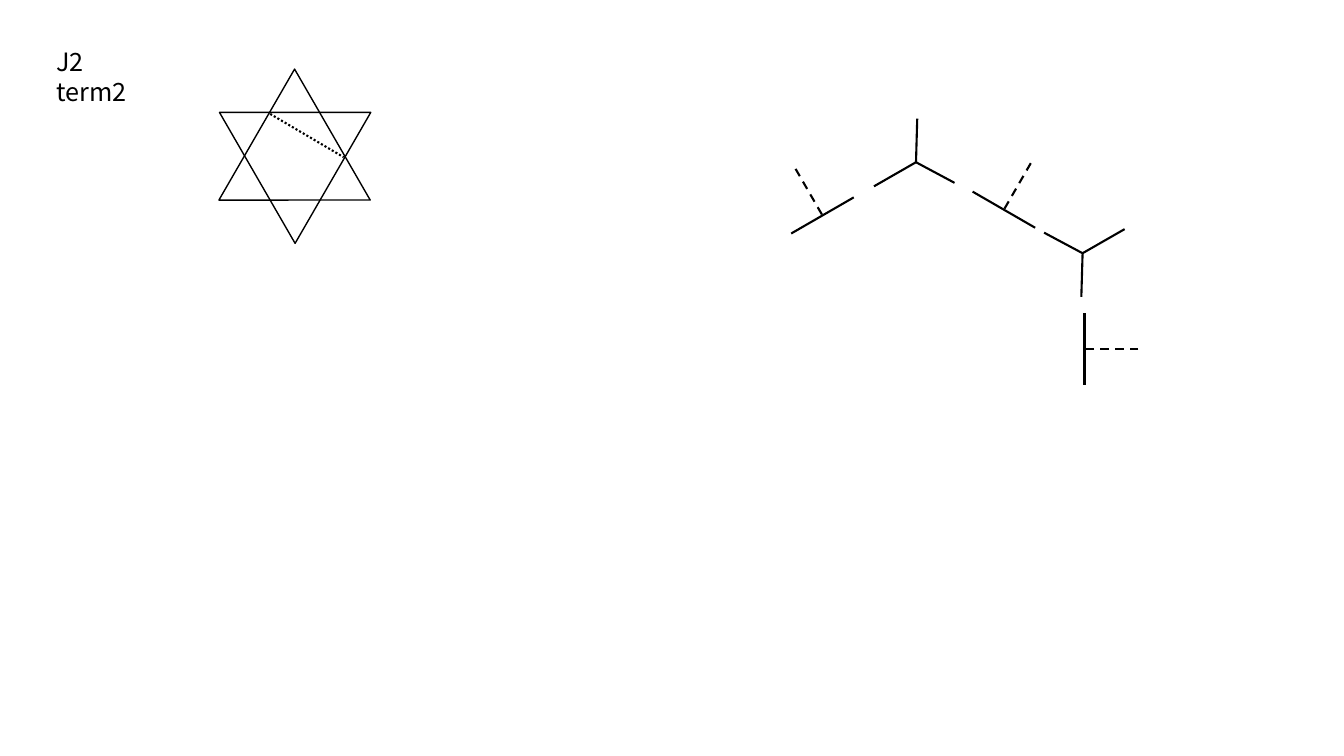
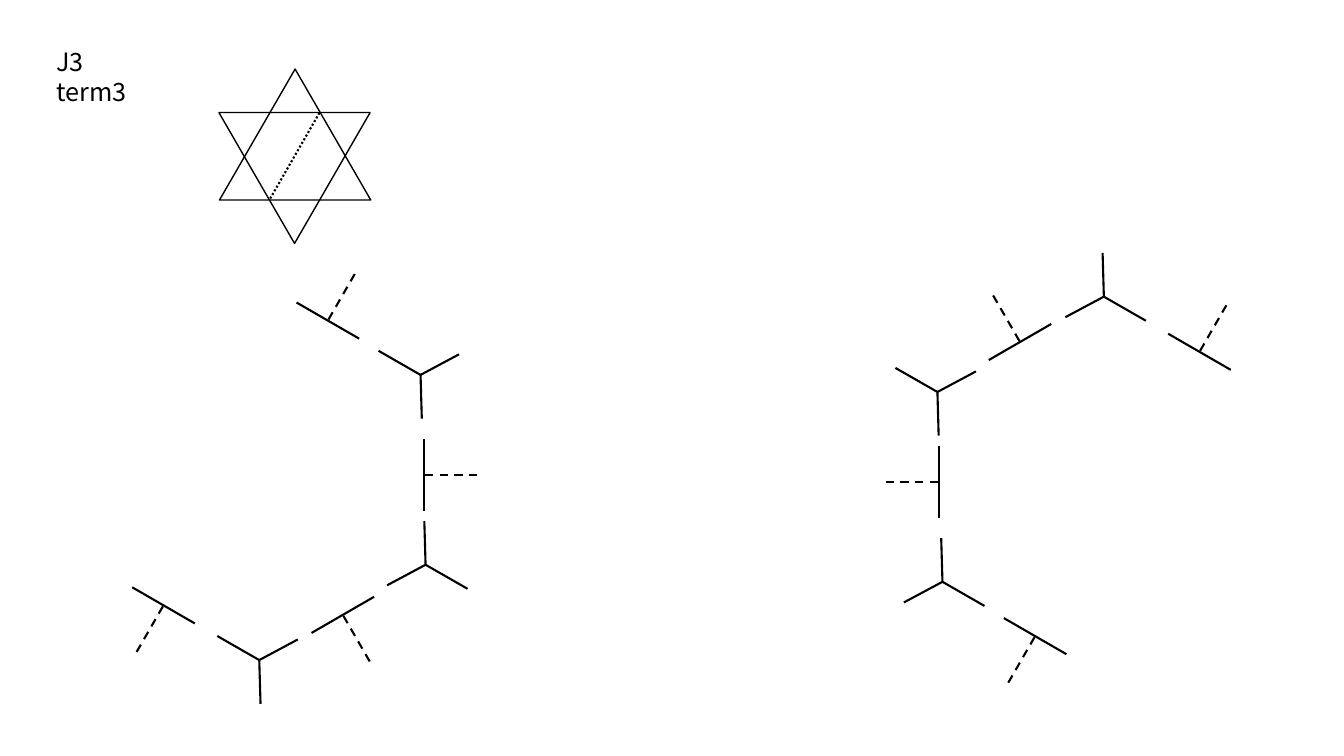
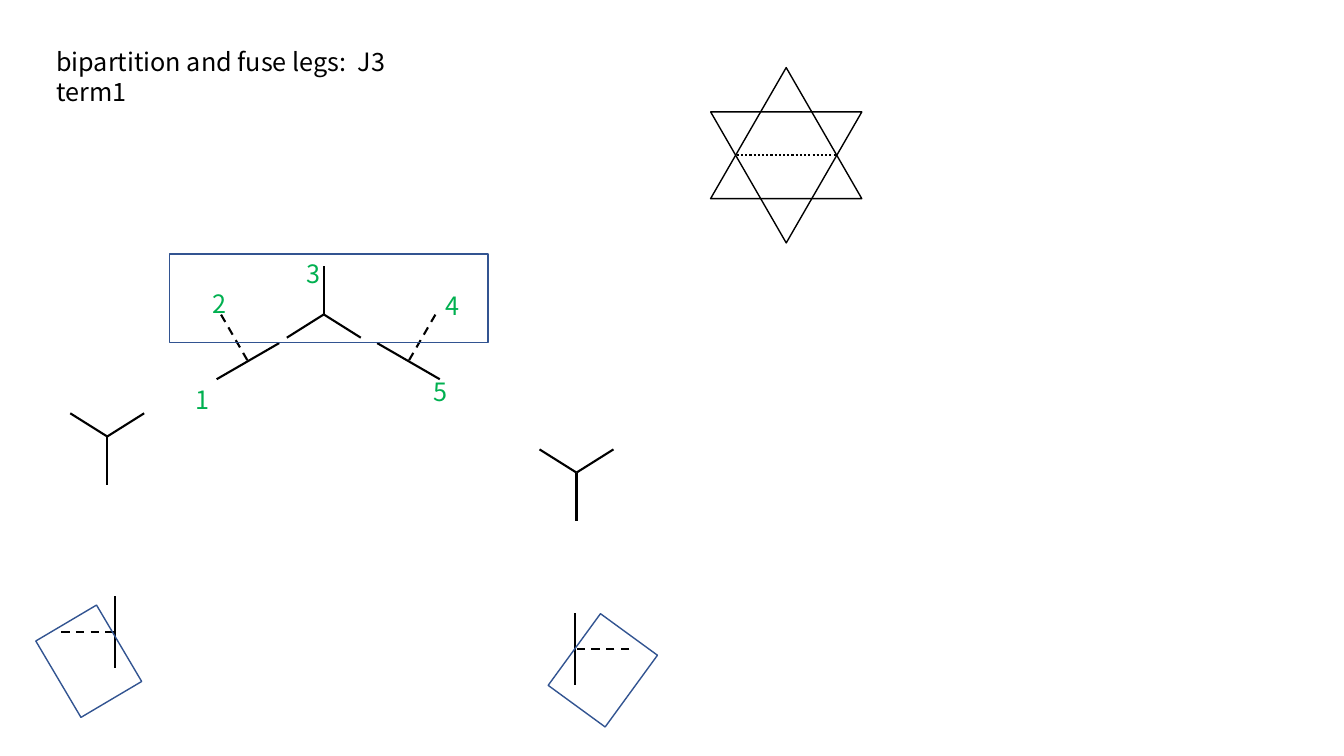
from dataclasses import dataclass
from math import cos, radians, sin

from lxml import etree
from pptx import Presentation
from pptx.dml.color import RGBColor
from pptx.enum.dml import MSO_LINE
from pptx.enum.shapes import MSO_CONNECTOR, MSO_SHAPE
from pptx.enum.text import MSO_ANCHOR
from pptx.oxml.ns import qn
from pptx.slide import Slide
from pptx.util import Pt

BLACK = RGBColor(0x00, 0x00, 0x00)
BLUE = RGBColor(0x32, 0x54, 0x91)
GREEN = RGBColor(0x00, 0xB0, 0x50)

STRAIGHT = MSO_CONNECTOR.STRAIGHT
TRIANGLE = MSO_SHAPE.ISOSCELES_TRIANGLE
RECTANGLE = MSO_SHAPE.RECTANGLE
SOLID = MSO_LINE.SOLID
DASHED = MSO_LINE.DASH
DOTTED = MSO_LINE.ROUND_DOT
TOP = MSO_ANCHOR.TOP

FONT = "Noto Sans CJK SC"
TEXT_SIZE = 18
LINE_PITCH = 21.6
TEXT_HEIGHT = 28.8

TRIANGLE_WIDTH = 108
TRIANGLE_HEIGHT = 93.6
TRIANGLE_SHIFT = 15.8
HALF_BAR = 25.8
LEG = 38.4

Point = tuple[float, float]
SKEWED: tuple[Point, ...] = ((-30, 17.2), (0.9, -31.2), (27.5, 14.7))
UPRIGHT: tuple[Point, ...] = ((-26.4, 16.6), (0, -34.6), (26.4, 16.6))


@dataclass(frozen=True)
class Star:
    center: Point
    turn: float
    chord: tuple[Point, Point]


@dataclass(frozen=True)
class Wye:
    hub: Point
    flip_x: bool = False
    flip_y: bool = False
    arms: tuple[Point, ...] = SKEWED


@dataclass(frozen=True)
class Tee:
    joint: Point
    leg_angle: float


@dataclass(frozen=True)
class Box:
    left: float
    top: float
    width: float
    height: float
    turn: float = 0


@dataclass(frozen=True)
class Label:
    text: str
    left: float
    top: float


@dataclass(frozen=True)
class Diagram:
    title: tuple[str, str]
    title_width: float
    star: Star
    wyes: tuple[Wye, ...]
    tees: tuple[Tee, ...]
    boxes: tuple[Box, ...] = ()
    labels: tuple[Label, ...] = ()


def draw_line(slide: Slide, start: Point, end: Point, dash: MSO_LINE = SOLID) -> None:
    stroke = slide.shapes.add_connector(STRAIGHT, *map(Pt, start + end))
    stroke.line.color.rgb = BLACK
    stroke.line.width = Pt(1.5)
    stroke.line.dash_style = dash
    etree.SubElement(stroke._element.spPr, qn("a:effectLst"))


def draw_outline(slide: Slide, kind: MSO_SHAPE, box: Box, color: RGBColor) -> None:
    outline = slide.shapes.add_shape(
        kind, Pt(box.left), Pt(box.top), Pt(box.width), Pt(box.height))
    outline.rotation = box.turn
    outline.shadow.inherit = False
    outline.fill.background()
    outline.line.color.rgb = color
    outline.line.width = Pt(1)


def draw_text(slide: Slide, lines: tuple[str, ...], left: float, top: float,
              width: float, color: RGBColor) -> None:
    frame = slide.shapes.add_textbox(
        Pt(left), Pt(top), Pt(width), Pt(TEXT_HEIGHT)).text_frame
    frame.word_wrap = True
    frame.vertical_anchor = TOP
    frame.margin_top = Pt(5.4)
    paragraph = frame.paragraphs[0]
    paragraph.line_spacing = Pt(LINE_PITCH)
    for index, line in enumerate(lines):
        if index:
            paragraph.add_line_break()
        run = paragraph.add_run()
        run.text = line
        run.font.name = FONT
        run.font.size = Pt(TEXT_SIZE)
        run.font.color.rgb = color


def draw_star(slide: Slide, star: Star) -> None:
    x, y = star.center
    for turn in (star.turn, star.turn + 180):
        left = x + TRIANGLE_SHIFT * sin(radians(turn)) - TRIANGLE_WIDTH / 2
        top = y - TRIANGLE_SHIFT * cos(radians(turn)) - TRIANGLE_HEIGHT / 2
        draw_outline(slide, TRIANGLE,
                     Box(left, top, TRIANGLE_WIDTH, TRIANGLE_HEIGHT, turn), BLACK)
    draw_line(slide, *star.chord, DOTTED)


def draw_wye(slide: Slide, wye: Wye) -> None:
    x, y = wye.hub
    x_sign = -1 if wye.flip_x else 1
    y_sign = -1 if wye.flip_y else 1
    for dx, dy in wye.arms:
        draw_line(slide, wye.hub, (x + x_sign * dx, y + y_sign * dy))


def draw_tee(slide: Slide, tee: Tee) -> None:
    x, y = tee.joint
    across, up = cos(radians(tee.leg_angle)), sin(radians(tee.leg_angle))
    draw_line(slide, (x - HALF_BAR * up, y - HALF_BAR * across),
              (x + HALF_BAR * up, y + HALF_BAR * across))
    draw_line(slide, (x + LEG * across, y - LEG * up), tee.joint, DASHED)


def draw_diagram(slide: Slide, diagram: Diagram) -> None:
    draw_star(slide, diagram.star)
    draw_text(slide, diagram.title, 33.1, 27.4, diagram.title_width, BLACK)
    for wye in diagram.wyes:
        draw_wye(slide, wye)
    for tee in diagram.tees:
        draw_tee(slide, tee)
    for box in diagram.boxes:
        draw_outline(slide, RECTANGLE, box, BLUE)
    for label in diagram.labels:
        draw_text(slide, (label.text,), label.left, label.top, 18.7, GREEN)


DIAGRAMS = (
    Diagram(
        title=("J2", "term2"),
        title_width=81.4,
        star=Star((210.6, 111.6), 60, ((193, 81.4), (245.5, 112.3))),
        wyes=(
            Wye((654.3, 115.9)),
            Wye((773.3, 180.9), flip_x=True, flip_y=True),
        ),
        tees=(
            Tee((717.1, 149.8), 60),
            Tee((587.5, 153.9), 120),
            Tee((774.7, 249.5), 0),
        ),
    ),
    Diagram(
        title=("J3", "term3"),
        title_width=81.4,
        star=Star((210.6, 111.6), 120, ((228.2, 80.6), (193, 141.8))),
        wyes=(
            Wye((300.4, 267.8), flip_y=True),
            Wye((304, 403.4), flip_x=True),
            Wye((185.2, 471.5), flip_y=True),
            Wye((673.2, 415.6), flip_x=True),
            Wye((669.6, 280), flip_y=True),
            Wye((788.5, 211.9), flip_x=True),
        ),
        tees=(
            Tee((302.6, 339.5), 0),
            Tee((234.2, 229), 60),
            Tee((244.9, 439.2), 300),
            Tee((116.8, 432.4), 240),
            Tee((671, 344.2), 180),
            Tee((739.4, 454.4), 240),
            Tee((728.6, 244.3), 120),
            Tee((856.8, 251.3), 60),
        ),
    ),
    Diagram(
        title=("bipartition and fuse legs:  J3", "term1"),
        title_width=283.7,
        star=Star((561.6, 110.9), 0, ((526.3, 110.9), (596.9, 110.9))),
        wyes=(
            Wye((76.6, 311.8), flip_y=True, arms=UPRIGHT),
            Wye((231.3, 224.6), arms=UPRIGHT),
            Wye((411.8, 337.6), flip_y=True, arms=UPRIGHT),
        ),
        tees=(
            Tee((82.1, 451.2), 180),
            Tee((177.1, 258), 120),
            Tee((291.8, 258), 60),
            Tee((411, 463.7), 0),
        ),
        boxes=(
            Box(121, 181.4, 227.5, 63.4),
            Box(38.2, 440.6, 50.4, 63.4, 329.4),
            Box(405.4, 447.1, 50.4, 63.4, 36.1),
        ),
        labels=(
            Label("1", 132.5, 269.3),
            Label("2", 144.7, 200.9),
            Label("3", 211.7, 179.3),
            Label("4", 311, 202.3),
            Label("5", 302.4, 263.5),
        ),
    ),
)


def main() -> None:
    deck = Presentation()
    deck.slide_width = Pt(960)
    deck.slide_height = Pt(540)
    blank = deck.slide_layouts[6]
    for diagram in DIAGRAMS:
        draw_diagram(deck.slides.add_slide(blank), diagram)
    deck.save("out.pptx")


main()
